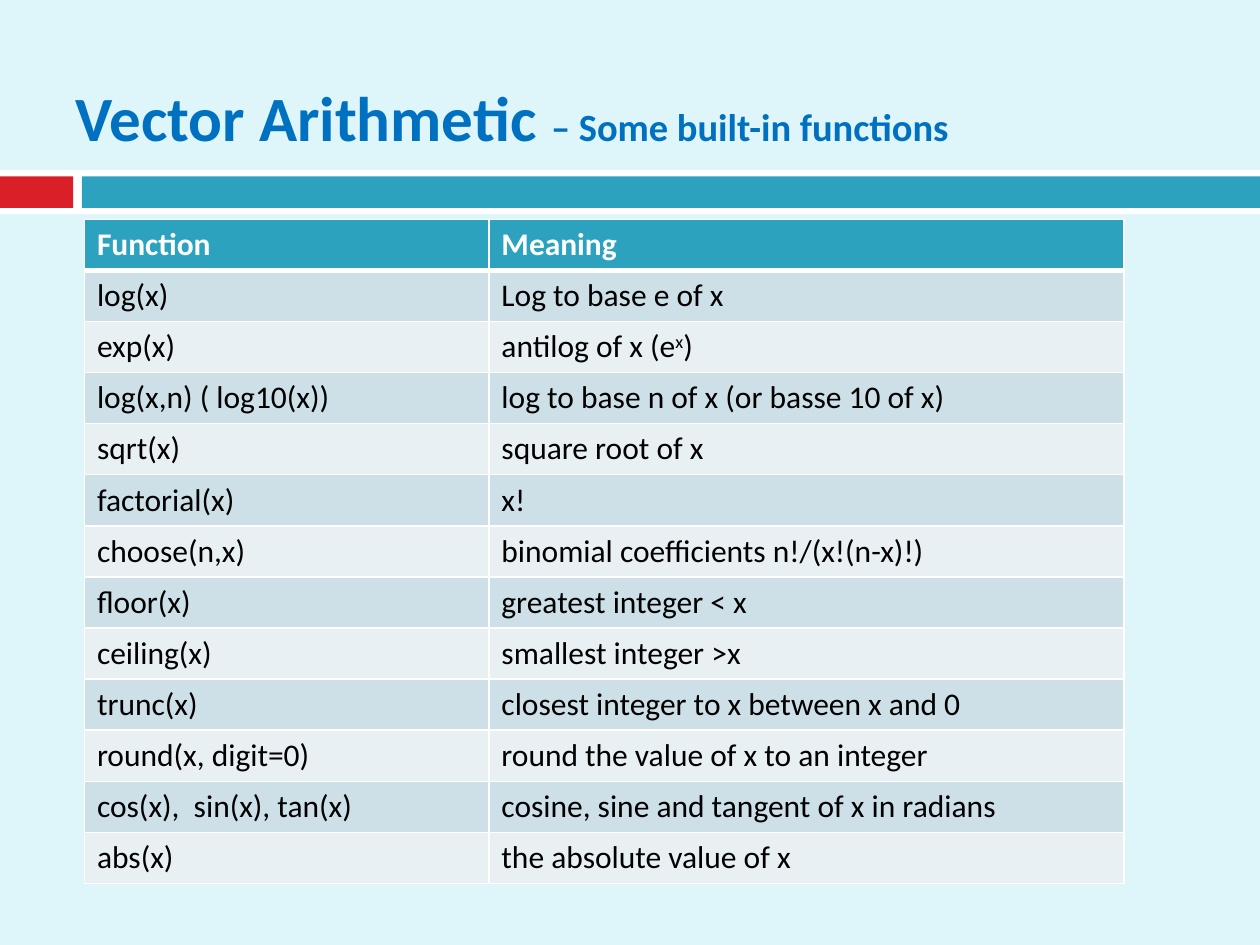
from dataclasses import dataclass

from lxml import etree
from pptx import Presentation
from pptx import util as u
from pptx.dml.color import RGBColor
from pptx.enum import shapes, text
from pptx.oxml import ns


@dataclass(frozen=True)
class Theme:
    """Colours, font and type sizes of the slide."""
    font: str = "Calibri"
    background: str = "DEF5FA"
    white: str = "FFFFFF"
    black: str = "000000"
    red: str = "DA1F28"
    teal: str = "2DA2BF"
    blue: str = "0070C0"
    bands: tuple = ("CDE0E8", "E8F0F4")
    title_size: int = 36
    subtitle_size: int = 22
    table_size: int = 18


THEME = Theme()
HEADER = ("Function", "Meaning")
FUNCTIONS = [
    ("log(x)", "Log to base e of x"),
    ("exp(x)", ("antilog of x (e", "x", ")")),
    ("log(x,n) ( log10(x))", "log to base n of x (or basse 10 of x)"),
    ("sqrt(x)", "square root of x"),
    ("factorial(x)", "x!"),
    ("choose(n,x)", "binomial coefficients n!/(x!(n-x)!)"),
    ("floor(x)", "greatest integer < x"),
    ("ceiling(x)", "smallest integer >x"),
    ("trunc(x)", "closest integer to x between x and 0"),
    ("round(x, digit=0)", "round the value of x to an integer"),
    ("cos(x),  sin(x), tan(x)", "cosine, sine and tangent of x in radians"),
    ("abs(x)", "the absolute value of x"),
]


def paint(fill, color):
    """Give a fill one solid colour."""
    fill.solid()
    fill.fore_color.rgb = RGBColor.from_string(color)


def add_span(para, words, size, color, bold=False, raised=False):
    """Add one formatted run to a paragraph."""
    span = para.add_run()
    span.text = words
    span.font.name = THEME.font
    span.font.size = u.Pt(size)
    span.font.bold = bold
    span.font.color.rgb = RGBColor.from_string(color)
    if raised:
        span.font._element.set("baseline", "30000")


def add_bar(page, left, top, width, height, color):
    """Draw a plain rectangle without outline or shadow."""
    bar = page.shapes.add_shape(
        shapes.MSO_SHAPE.RECTANGLE,
        *(u.Inches(length) for length in (left, top, width, height)))
    bar.shadow.inherit = False
    bar.line.fill.background()
    paint(bar.fill, color)


def set_title(page):
    """Place and fill the title, in front of the bars."""
    title = page.shapes.title
    title.left, title.top = u.Inches(0.5), u.Inches(0.3)
    title.width, title.height = u.Inches(9), u.Inches(1.25)
    frame = title.text_frame
    frame.auto_size = text.MSO_AUTO_SIZE.NONE
    frame.vertical_anchor = text.MSO_ANCHOR.MIDDLE
    para = frame.paragraphs[0]
    para.alignment = text.PP_ALIGN.LEFT
    add_span(para, "Vector Arithmetic ", THEME.title_size, THEME.blue, True)
    add_span(para, "– Some built-in functions", THEME.subtitle_size,
             THEME.blue, True)
    page.shapes.element.append(title.element)


def set_borders(cell, top, bottom):
    """Rule a cell in white, with the given top and bottom widths."""
    properties = cell._tc.get_or_add_tcPr()
    for side, points in (("L", 1), ("R", 1), ("T", top), ("B", bottom)):
        line = etree.SubElement(properties, ns.qn(f"a:ln{side}"),
                                w=str(u.Pt(points)))
        solid = etree.SubElement(line, ns.qn("a:solidFill"))
        etree.SubElement(solid, ns.qn("a:srgbClr"), val=THEME.white)


def fill_cell(cell, content, row):
    """Write a cell and style it by its row number."""
    is_header = row == 0
    set_borders(cell, 3 if row == 1 else 1, 3 if is_header else 1)
    paint(cell.fill, THEME.teal if is_header else THEME.bands[(row - 1) % 2])
    cell.vertical_anchor = (text.MSO_ANCHOR.MIDDLE if is_header
                            else text.MSO_ANCHOR.TOP)
    parts = (content,) if isinstance(content, str) else content
    for index, words in enumerate(parts):
        add_span(cell.text_frame.paragraphs[0], words, THEME.table_size,
                 THEME.white if is_header else THEME.black,
                 bold=is_header, raised=index == 1)


def add_function_table(page):
    """Add the table of functions and their meanings."""
    rows = [HEADER, *FUNCTIONS]
    table = page.shapes.add_table(
        len(rows), len(HEADER), u.Inches(0.67), u.Inches(1.74),
        u.Inches(8.25), u.Inches(5.27)).table
    for column, width in zip(table.columns, (3.21, 5.04)):
        column.width = u.Inches(width)
    for row, contents in enumerate(rows):
        for column, content in enumerate(contents):
            fill_cell(table.cell(row, column), content, row)


def main():
    """Build the slide and save it."""
    deck = Presentation()
    deck.slide_width, deck.slide_height = u.Inches(10), u.Inches(7.5)
    page = deck.slides.add_slide(deck.slide_layouts.get_by_name("Title Only"))
    paint(page.background.fill, THEME.background)
    add_bar(page, 0, 1.35, 10, 0.35, THEME.white)
    add_bar(page, 0, 1.4, 0.58, 0.25, THEME.red)
    add_bar(page, 0.65, 1.4, 9.35, 0.25, THEME.teal)
    set_title(page)
    add_function_table(page)
    deck.save("out.pptx")


if __name__ == "__main__":
    main()
